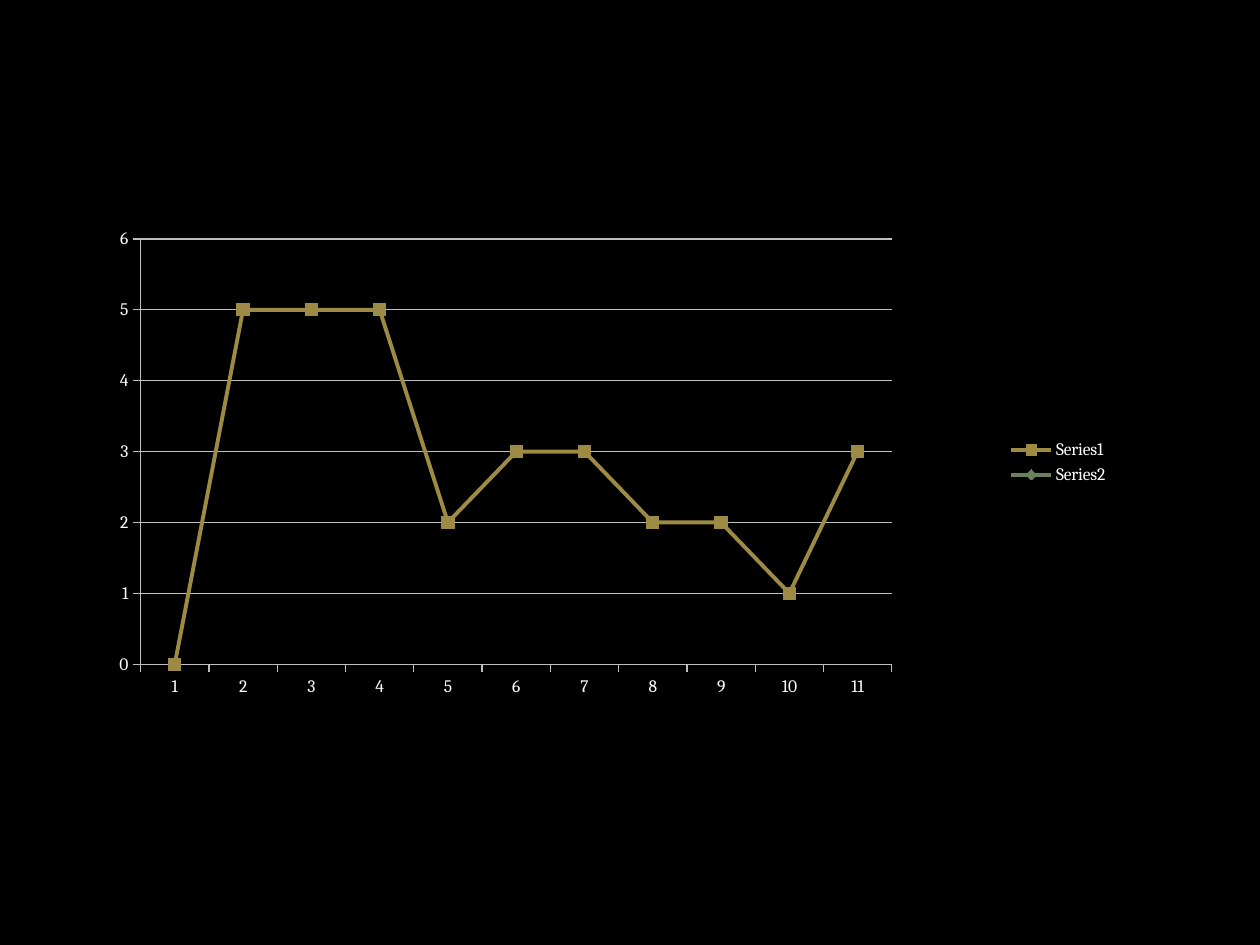
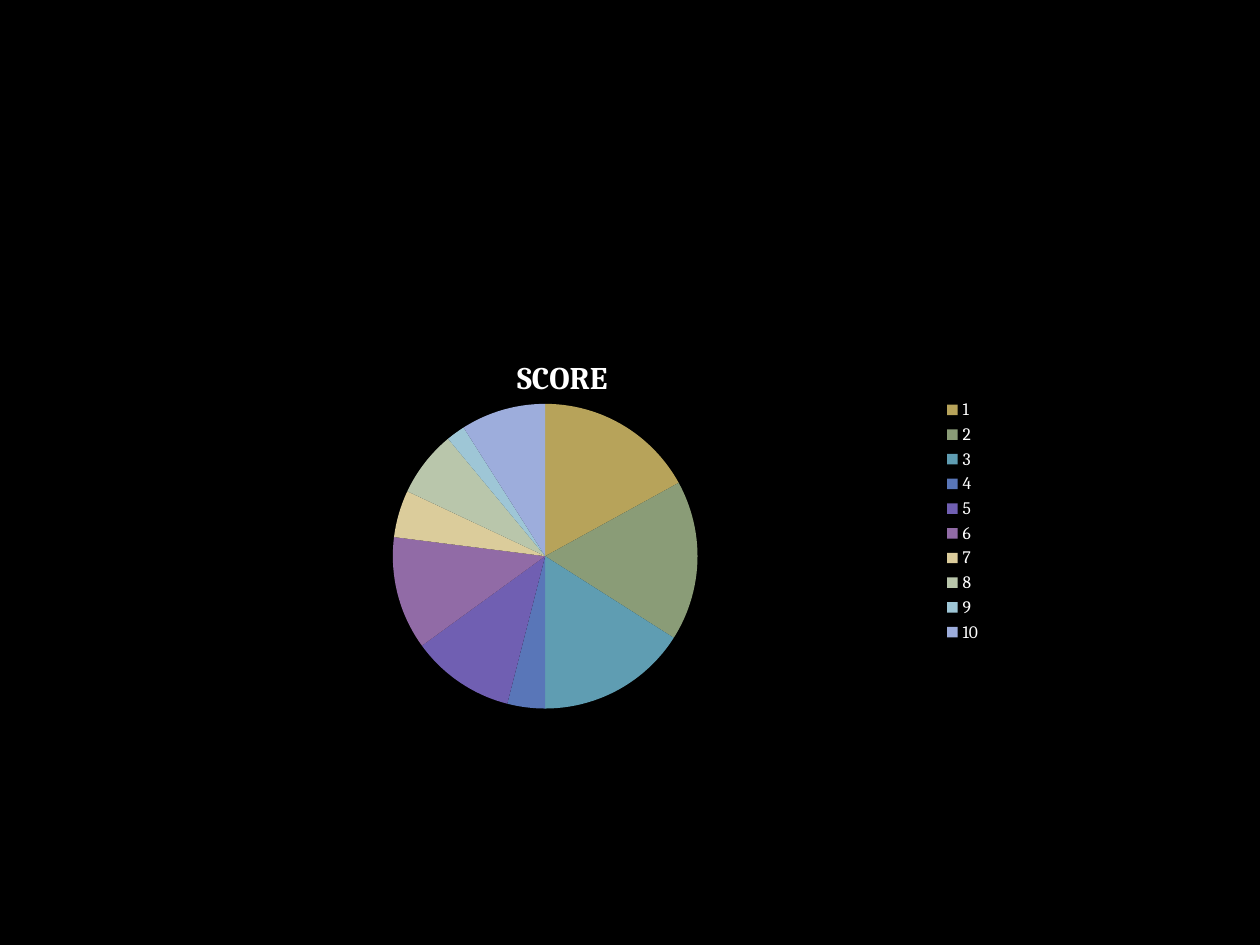
from lxml import etree
from pptx import Presentation
from pptx.chart.data import CategoryChartData
from pptx.dml.color import RGBColor
from pptx.enum.chart import XL_CHART_TYPE, XL_LEGEND_POSITION, XL_MARKER_STYLE, XL_TICK_MARK
from pptx.oxml.ns import qn
from pptx.util import Pt

LINE, PIE = XL_CHART_TYPE.LINE_MARKERS, XL_CHART_TYPE.PIE
RIGHT = XL_LEGEND_POSITION.RIGHT
SQUARE, DIAMOND = XL_MARKER_STYLE.SQUARE, XL_MARKER_STYLE.DIAMOND
OUT, NONE = XL_TICK_MARK.OUTSIDE, XL_TICK_MARK.NONE

BLACK = RGBColor(0x00, 0x00, 0x00)
WHITE = RGBColor(0xFF, 0xFF, 0xFF)
GREY = RGBColor(0xBF, 0xBF, 0xBF)
BRONZE = RGBColor(0x9C, 0x8A, 0x45)
MOSS = RGBColor(0x6B, 0x80, 0x5C)
GOLD = RGBColor(0xB7, 0xA3, 0x5A)
SAGE = RGBColor(0x8A, 0x9C, 0x77)
TEAL = RGBColor(0x5F, 0x9D, 0xB2)
BLUE = RGBColor(0x59, 0x76, 0xB8)
VIOLET = RGBColor(0x70, 0x5F, 0xB2)
PLUM = RGBColor(0x91, 0x6B, 0xA6)
SAND = RGBColor(0xDB, 0xCC, 0x9B)
MIST = RGBColor(0xB9, 0xC6, 0xAB)
SKY = RGBColor(0x9E, 0xC6, 0xD6)
LILAC = RGBColor(0x9D, 0xAD, 0xDC)
SLICES = (GOLD, SAGE, TEAL, BLUE, VIOLET, PLUM, SAND, MIST, SKY, LILAC)

RUNS = [0, 5, 5, 5, 2, 3, 3, 2, 2, 1, 3]
SCORES = [17, 17, 16, 4, 11, 12, 5, 7, 2, 9]


def style(font, size=10, bold=False, color=WHITE):
    """Set face, size, weight and colour of a font."""
    font.name, font.size, font.bold = "Cambria", Pt(size), bold
    font.color.rgb = color


def write(frame, text, **form):
    """Put formatted text in a frame."""
    run = frame.paragraphs[0].add_run()
    run.text = text
    style(run.font, **form)


def place(owner, *box, inner=False):
    """Fix a chart part at fractions of the chart: left, top, width, height."""
    layout = owner.find(qn("c:layout"))
    if layout is None:
        layout = etree.Element(qn("c:layout"))
        text = owner.find(qn("c:tx"))
        if text is None:
            owner.insert(0, layout)
        else:
            text.addnext(layout)
    for child in list(layout):
        layout.remove(child)
    manual = etree.SubElement(layout, qn("c:manualLayout"))
    modes = [("layoutTarget", "inner")] if inner else []
    modes += [("xMode", "edge"), ("yMode", "edge")]
    for tag, val in modes + list(zip("xywh", box)):
        etree.SubElement(manual, qn(f"c:{tag}")).set("val", str(val))


class Deck:
    """Hold the shared look and the current slide."""

    def __init__(self):
        """Start a deck of 10 by 7.5 inch slides."""
        self.show = Presentation()
        self.show.slide_width, self.show.slide_height = Pt(720), Pt(540)
        self.slide = None

    def page(self):
        """Add a black slide."""
        self.slide = self.show.slides.add_slide(self.show.slide_layouts[6])
        fill = self.slide.background.fill
        fill.solid()
        fill.fore_color.rgb = BLACK

    def chart(self, kind, box, plot, count, series):
        """Add a chart with numbered categories and a legend at the right."""
        data = CategoryChartData()
        data.categories = [str(n) for n in range(1, count + 1)]
        for name, vals in series:
            data.add_series(name, vals)
        chart = self.slide.shapes.add_chart(kind, *map(Pt, box), data).chart
        style(chart.font)
        chart.has_title = False
        chart.has_legend = True
        chart.legend.position = RIGHT
        chart.legend.include_in_layout = False
        place(chart.plots[0]._element.getparent(), *plot, inner=True)
        return chart

    def axis(self, axis, grid):
        """Give an axis grey lines and outer ticks."""
        axis.major_tick_mark, axis.minor_tick_mark = OUT, NONE
        axis.has_major_gridlines = grid
        lines = [axis.format.line]
        if grid:
            lines.append(axis.major_gridlines.format.line)
        for line in lines:
            line.color.rgb, line.width = GREY, Pt(0.75)

    def lines(self, box, plot, count, series, looks):
        """Add a line chart with a colour and marker for each series."""
        chart = self.chart(LINE, box, plot, count, series)
        chart.plots[0].vary_by_categories = False
        self.axis(chart.category_axis, False)
        self.axis(chart.value_axis, True)
        scale = chart.value_axis
        scale.minimum_scale, scale.maximum_scale, scale.major_unit = 0, 6, 1
        for line, (color, mark) in zip(chart.plots[0].series, looks):
            line.smooth = False
            line.format.line.color.rgb, line.format.line.width = color, Pt(2.25)
            marker = line.marker
            marker.style, marker.size = mark, 7
            marker.format.fill.solid()
            marker.format.fill.fore_color.rgb = color
            marker.format.line.fill.background()

    def pie(self, box, plot, title, spot, vals, colors):
        """Add a titled pie with one colour for each slice."""
        chart = self.chart(PIE, box, plot, len(vals), [(title, vals)])
        chart.has_title = True
        write(chart.chart_title.text_frame, title, size=18, bold=True)
        chart.chart_title.include_in_layout = False
        place(chart.chart_title._element, *spot)
        chart.plots[0].vary_by_categories = True
        points = chart.plots[0].series[0].points
        for i, color in enumerate(colors):
            look = points[i].format
            look.fill.solid()
            look.fill.fore_color.rgb = color
            look.line.fill.background()


def main():
    """Build both slides and save them."""
    deck = Deck()
    deck.page()
    count = len(RUNS)
    deck.lines((44.6, 112.3, 596.2, 303.8), (0.06, 0.08, 0.72, 0.8), count,
               [("Series1", RUNS), ("Series2", [None] * count)],
               [(BRONZE, SQUARE), (MOSS, DIAMOND)])
    deck.page()
    deck.pie((84.2, 179.3, 483.8, 236.9), (0.29, 0.21, 0.36, 0.75),
             "SCORE", (0.43, 0.09), SCORES, SLICES)
    deck.show.save("out.pptx")


if __name__ == "__main__":
    main()
